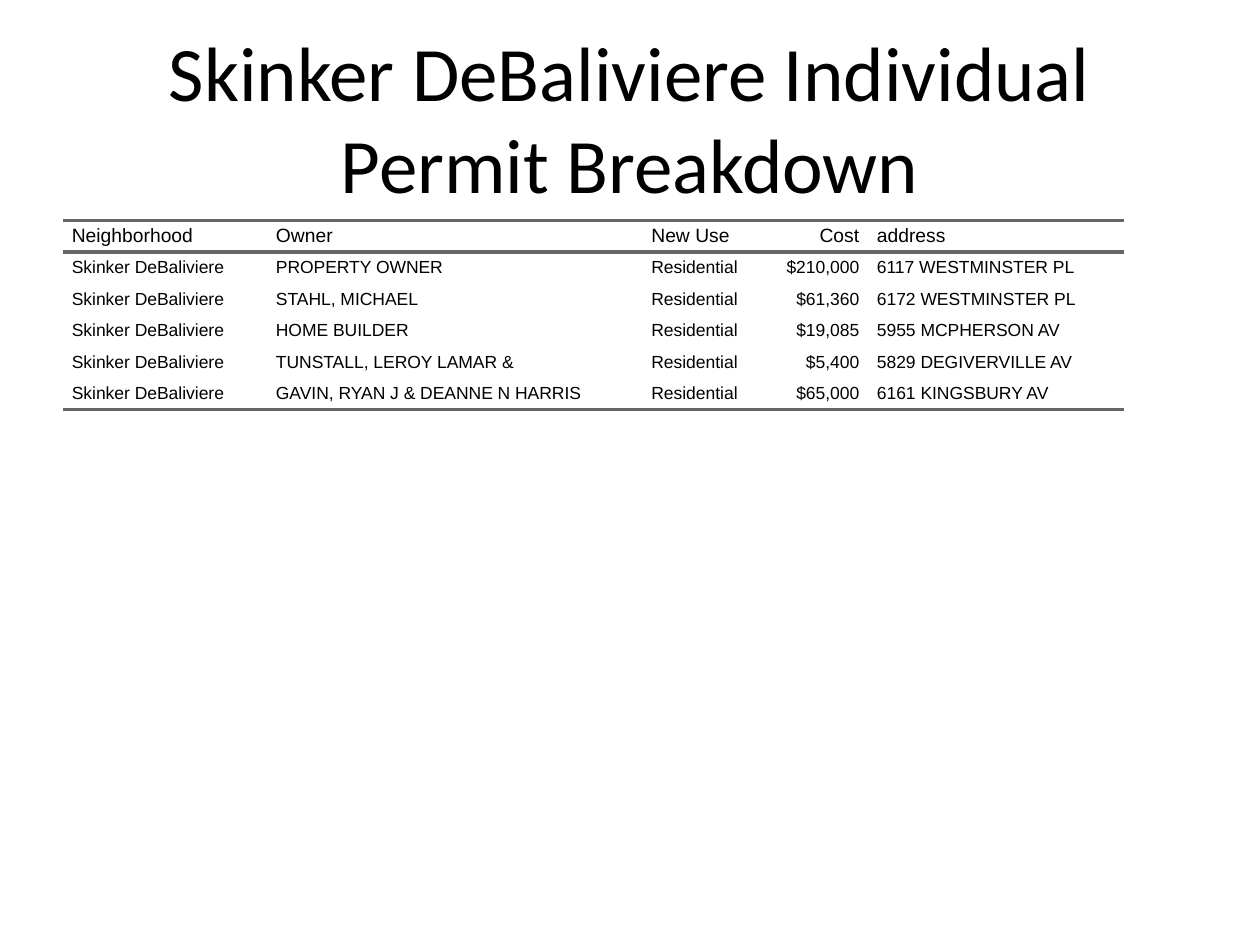
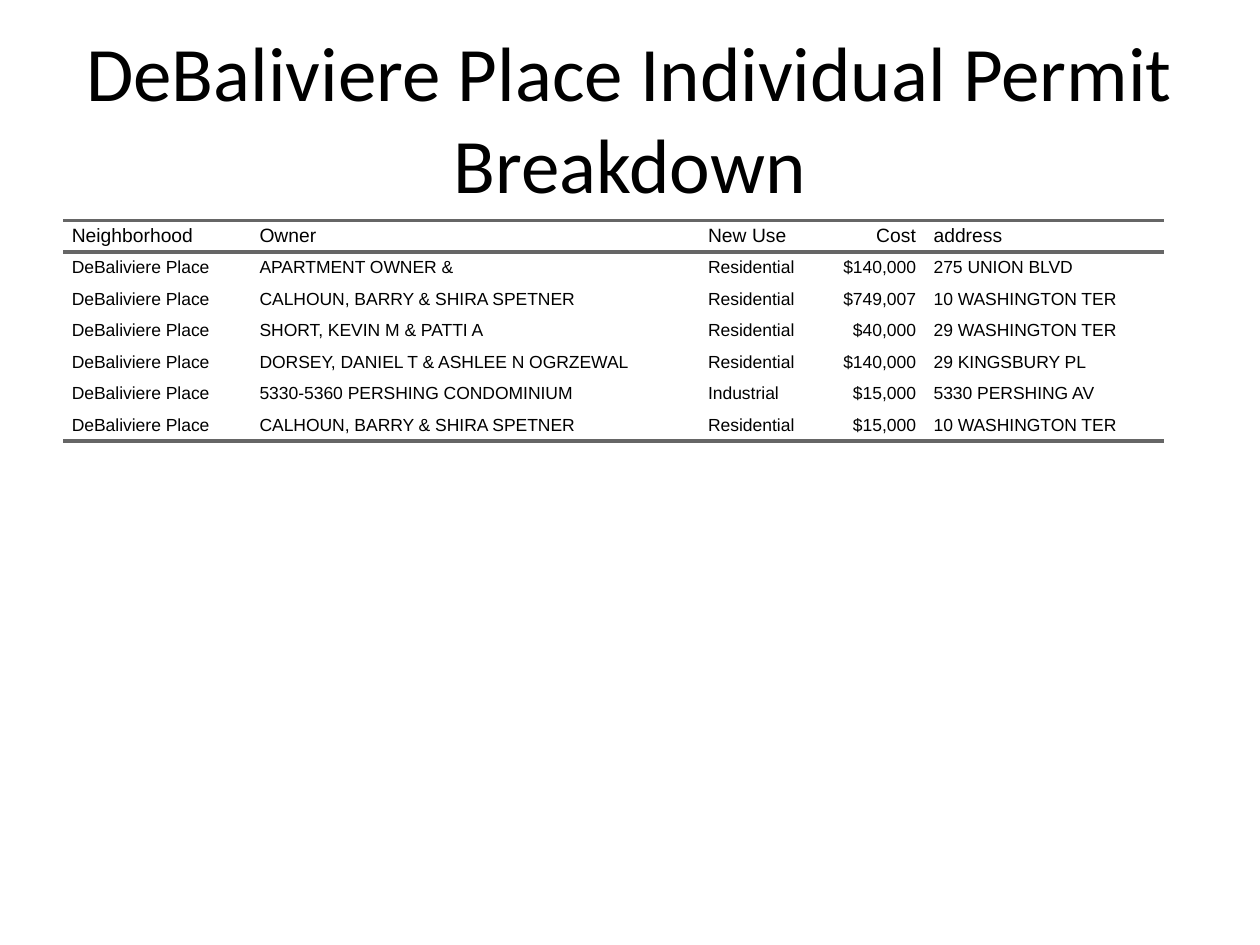
from lxml import etree
from pptx import Presentation
from pptx.dml.color import RGBColor
from pptx.enum.text import MSO_ANCHOR, PP_ALIGN
from pptx.oxml.ns import qn
from pptx.util import Inches, Pt

MIDDLE = MSO_ANCHOR.MIDDLE
LEFT, CENTER, RIGHT = PP_ALIGN.LEFT, PP_ALIGN.CENTER, PP_ALIGN.RIGHT
COLORS = {"text": "000000", "rule": "666666"}
TITLE_FONT, TABLE_FONT = "Calibri", "Arial"
NO_GRID_STYLE = "{2D5ABB26-0587-4C30-8999-92F81FD0307C}"
HEADERS = ("Neighborhood", "Owner", "New Use", "Cost", "address")
COST_COLUMN = HEADERS.index("Cost")
ROW_HEIGHT = Inches(0.25)
CELL_INDENT = Inches(0.07)
RULE_WIDTH = Pt(2)

BREAKDOWNS = [
    ("Skinker DeBaliviere", (1.62, 2.98, 1.04, 0.75, 2.03), [
        ("PROPERTY OWNER", "Residential", "$210,000", "6117 WESTMINSTER PL"),
        ("STAHL, MICHAEL", "Residential", "$61,360", "6172 WESTMINSTER PL"),
        ("HOME BUILDER", "Residential", "$19,085", "5955 MCPHERSON AV"),
        ("TUNSTALL, LEROY LAMAR &", "Residential", "$5,400", "5829 DEGIVERVILLE AV"),
        ("GAVIN, RYAN J & DEANNE N HARRIS", "Residential", "$65,000", "6161 KINGSBURY AV"),
    ]),
    ("DeBaliviere Place", (1.49, 3.56, 1.04, 0.75, 1.9), [
        ("APARTMENT OWNER &", "Residential", "$140,000", "275 UNION BLVD"),
        ("CALHOUN, BARRY & SHIRA SPETNER", "Residential", "$749,007", "10 WASHINGTON TER"),
        ("SHORT, KEVIN M & PATTI A", "Residential", "$40,000", "29 WASHINGTON TER"),
        ("DORSEY, DANIEL T & ASHLEE N OGRZEWAL", "Residential", "$140,000", "29 KINGSBURY PL"),
        ("5330-5360 PERSHING CONDOMINIUM", "Industrial", "$15,000", "5330 PERSHING AV"),
        ("CALHOUN, BARRY & SHIRA SPETNER", "Residential", "$15,000", "10 WASHINGTON TER"),
    ]),
]


class Deck:
    def __init__(self):
        self.presentation = Presentation()
        self.presentation.slide_width = Inches(10)
        self.presentation.slide_height = Inches(7.5)
        self.slide = None

    def add_slide(self):
        blank_layout = self.presentation.slide_layouts[6]
        self.slide = self.presentation.slides.add_slide(blank_layout)

    def format_paragraph(self, paragraph, font_name, size, alignment):
        paragraph.alignment = alignment
        for run in paragraph.runs:
            run.font.name = font_name
            run.font.size = Pt(size)
            run.font.color.rgb = RGBColor.from_string(COLORS["text"])

    def add_title(self, text):
        box = self.slide.shapes.add_textbox(Inches(0.5), Inches(0.3), Inches(9), Inches(1.25))
        text_frame = box.text_frame
        text_frame.word_wrap = True
        text_frame.vertical_anchor = MIDDLE
        text_frame.text = text
        self.format_paragraph(text_frame.paragraphs[0], TITLE_FONT, 44, CENTER)

    def add_rule(self, cell, side):
        properties = cell._tc.get_or_add_tcPr()
        line = etree.SubElement(properties, qn(f"a:{side}"), w=str(RULE_WIDTH))
        fill = etree.SubElement(line, qn("a:solidFill"))
        etree.SubElement(fill, qn("a:srgbClr"), val=COLORS["rule"])

    def fill_cell(self, cell, text, size, alignment):
        cell.margin_left = cell.margin_right = cell.margin_top = cell.margin_bottom = 0
        cell.vertical_anchor = MIDDLE
        cell.text_frame.text = text
        paragraph = cell.text_frame.paragraphs[0]
        self.format_paragraph(paragraph, TABLE_FONT, size, alignment)
        paragraph_properties = paragraph._p.get_or_add_pPr()
        for margin in ("marL", "marR"):
            paragraph_properties.set(margin, str(CELL_INDENT))

    def add_table(self, rows, column_widths):
        frame = self.slide.shapes.add_table(
            len(rows), len(column_widths), Inches(0.5), Inches(1.75),
            Inches(sum(column_widths)), ROW_HEIGHT * len(rows))
        table = frame.table
        table.first_row = table.horz_banding = False
        next(frame.element.iter(qn("a:tableStyleId"))).text = NO_GRID_STYLE
        for column, width in zip(table.columns, column_widths):
            column.width = Inches(width)
        for row_index, values in enumerate(rows):
            table.rows[row_index].height = ROW_HEIGHT
            is_header = row_index == 0
            for column_index, value in enumerate(values):
                cell = table.cell(row_index, column_index)
                alignment = RIGHT if column_index == COST_COLUMN else LEFT
                self.fill_cell(cell, value, 11 if is_header else 10, alignment)
                if is_header:
                    self.add_rule(cell, "lnT")
                if is_header or row_index == len(rows) - 1:
                    self.add_rule(cell, "lnB")
                cell.fill.background()


def main():
    deck = Deck()
    for neighborhood, column_widths, permits in BREAKDOWNS:
        deck.add_slide()
        deck.add_title(f"{neighborhood} Individual Permit Breakdown")
        rows = [HEADERS] + [(neighborhood, *permit) for permit in permits]
        deck.add_table(rows, column_widths)
    deck.presentation.save("out.pptx")


if __name__ == "__main__":
    main()
